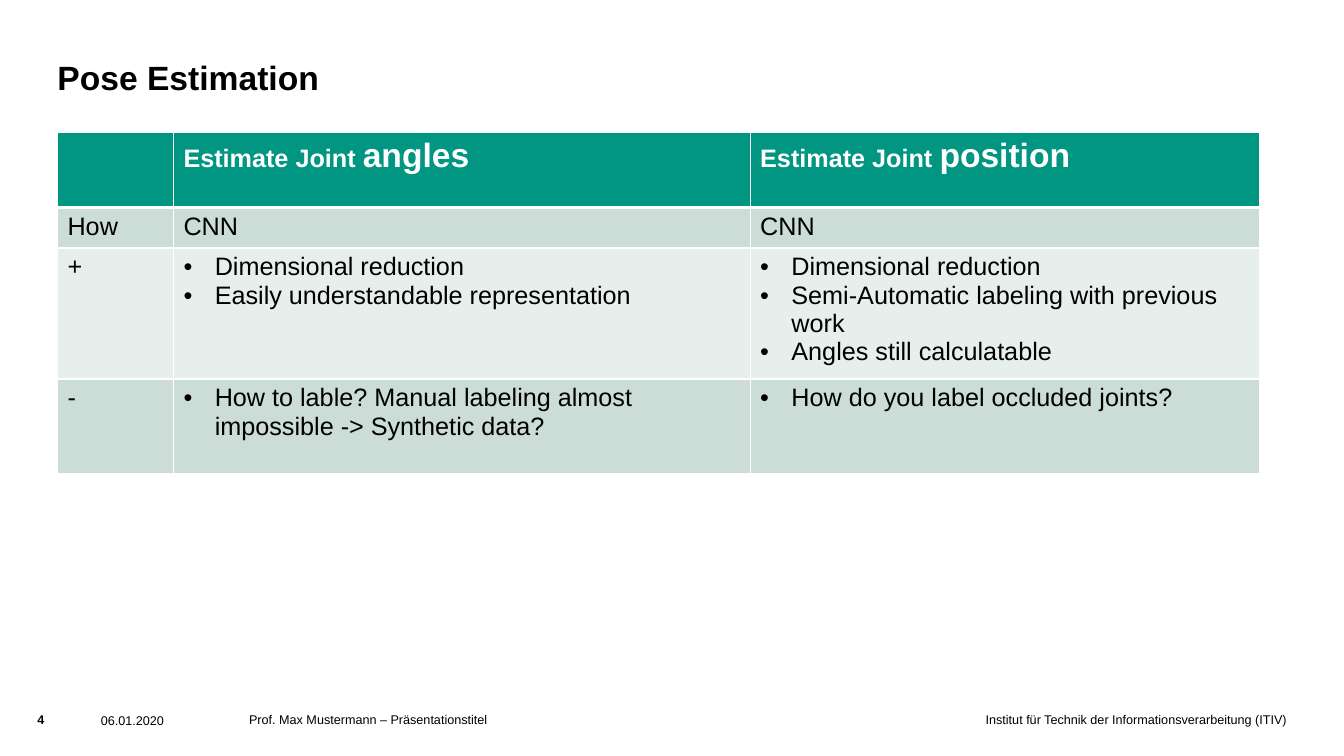
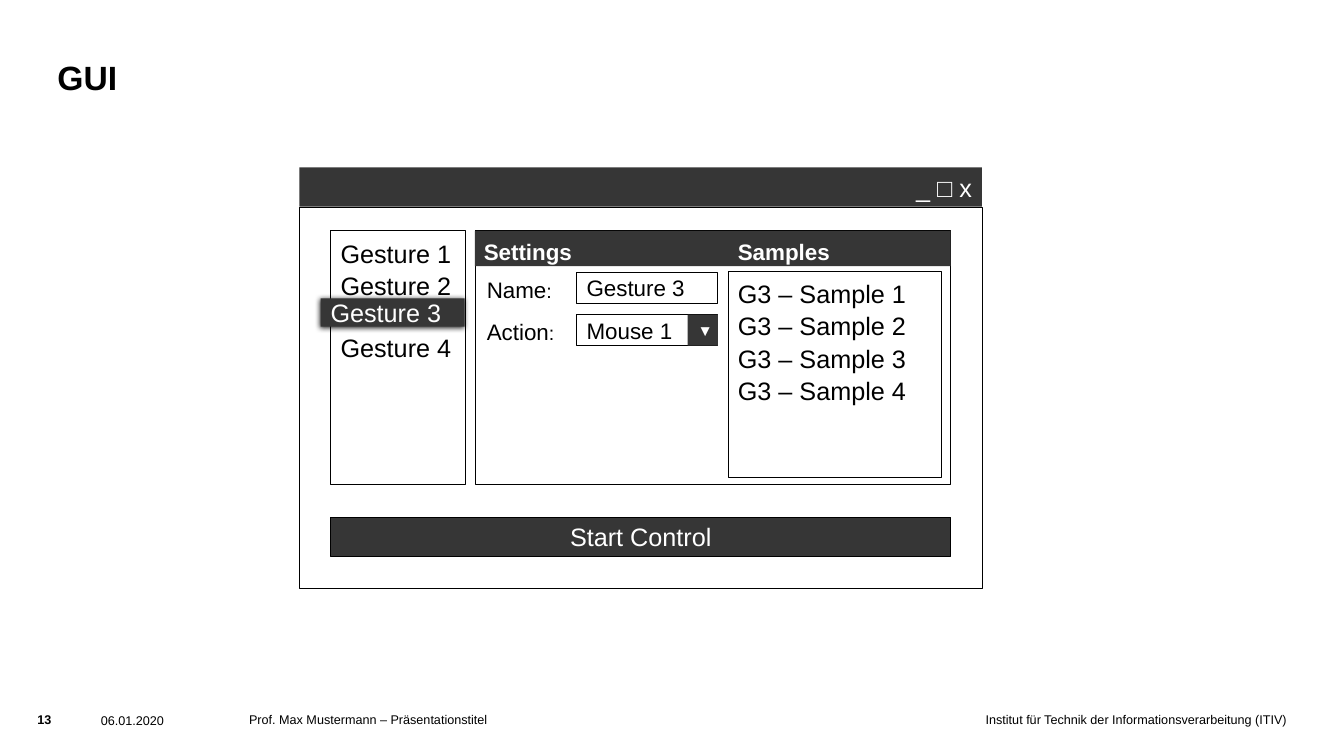
from dataclasses import dataclass

from lxml import etree
from pptx import Presentation
from pptx import util as u
from pptx.dml.color import RGBColor
from pptx.enum import shapes, text
from pptx.oxml import ns


@dataclass(frozen=True)
class Theme:
    font: str = "Arial"
    black: str = "000000"
    white: str = "FFFFFF"
    dark: str = "363636"
    green: str = "009682"
    band_dark: str = "CCDDD8"
    band_light: str = "E7EFED"
    title: int = 24
    body: int = 18
    label: int = 16
    colon: int = 14
    arrow: int = 11
    footer: int = 9


THEME = Theme()
LEFT, CENTER, RIGHT = text.PP_ALIGN.LEFT, text.PP_ALIGN.CENTER, text.PP_ALIGN.RIGHT
TOP, MIDDLE, BOTTOM = text.MSO_ANCHOR.TOP, text.MSO_ANCHOR.MIDDLE, text.MSO_ANCHOR.BOTTOM

# Footer parts: text, place, alignment
FOOTER = [
    ("06.01.2020", (1, 7.07, 1.27, 0.12), LEFT),
    ("Prof. Max Mustermann – Präsentationstitel", (2.47, 7.06, 6.09, 0.39), LEFT),
    ("Institut für Technik der Informationsverarbeitung (ITIV)", (8.57, 7.06, 4.19, 0.39), RIGHT),
]
PAGE_NUMBER_AT = (0.37, 7.06, 0.47, 0.24)
TITLE_AT = (0.57, 0.36, 10.08, 0.61)

# A paragraph is a string, or a list of (text, size) spans
HEADER = [[("Estimate Joint ", THEME.body), (word, THEME.title)] for word in ("angles", "position")]
COMPARISON = [
    ([], [HEADER[0]], [HEADER[1]]),
    (["How"], ["CNN"], ["CNN"]),
    (["+"],
     ["Dimensional reduction", "Easily understandable representation"],
     ["Dimensional reduction", "Semi-Automatic labeling with previous work",
      "Angles still calculatable"]),
    (["-"],
     ["How to lable? Manual labeling almost impossible -> Synthetic data?"],
     ["How do you label occluded joints?"]),
]
COLUMN_WIDTHS = (1.15, 5.72, 5.05)
ROW_HEIGHTS = (0.75, 0.4, 1.22, 0.94)
BULLET_ROWS = (2, 3)

GESTURES = ["Gesture 1", "Gesture 2", "Gesture 4"]
SELECTED = "Gesture 3"
SAMPLES = [f"G3 – Sample {number}" for number in range(1, 5)]
FIELDS = [("Name", "Gesture 3"), ("Action", "Mouse 1")]
LIST_SPACING = 1.07
LIST_LINE = 21.5


def rgb(value):
    return RGBColor.from_string(value)


def inches(at):
    return [u.Inches(length) for length in at]


def add_xml(parent, tag, index=None, **attributes):
    child = etree.Element(ns.qn(tag), {key: str(value) for key, value in attributes.items()})
    parent.insert(len(parent) if index is None else index, child)
    return child


def write(frame, paragraphs, size, color=THEME.black, bold=False, align=LEFT, spacing=None):
    for number, content in enumerate(paragraphs):
        para = frame.paragraphs[0] if number == 0 else frame.add_paragraph()
        para.alignment = align
        if spacing:
            para.line_spacing = spacing
        font = para.font
        font.name, font.size, font.bold = THEME.font, u.Pt(size), bold
        font.color.rgb = rgb(color)
        spans = [(content, None)] if isinstance(content, str) else content
        for words, span_size in spans:
            span = para.add_run()
            span.text = words
            if span_size:
                span.font.size = u.Pt(span_size)


def add_text(parent, at, paragraphs, size, inset=True, wrap=True, **style):
    box = parent.add_textbox(*inches(at))
    frame = box.text_frame
    frame.word_wrap = wrap
    if not inset:
        clear_insets(frame)
    write(frame, paragraphs, size, **style)
    return box


def clear_insets(frame):
    frame.margin_left = frame.margin_top = frame.margin_right = frame.margin_bottom = 0


def add_box(parent, at, fill=THEME.white, outlined=True, paragraphs=(), size=THEME.body,
            anchor=MIDDLE, **style):
    box = parent.add_shape(shapes.MSO_SHAPE.RECTANGLE, *inches(at))
    box.shadow.inherit = False
    if fill:
        box.fill.solid()
        box.fill.fore_color.rgb = rgb(fill)
    else:
        box.fill.background()
    if outlined:
        box.line.color.rgb = rgb(THEME.black)
        box.line.width = u.Pt(0.5)
    else:
        box.line.fill.background()
    box.text_frame.vertical_anchor = anchor
    write(box.text_frame, paragraphs, size, **style)
    return box


def add_page(deck, title, number):
    """Add a slide with its title and footer."""
    page = deck.slides.add_slide(deck.slide_layouts[5])
    heading = page.shapes.title
    heading.left, heading.top, heading.width, heading.height = inches(TITLE_AT)
    clear_insets(heading.text_frame)
    heading.text_frame.vertical_anchor = BOTTOM
    write(heading.text_frame, [title], THEME.title, bold=True)
    add_text(page.shapes, PAGE_NUMBER_AT, [number], THEME.footer, inset=False, bold=True)
    for words, at, align in FOOTER:
        add_text(page.shapes, at, [words], THEME.footer, inset=False, align=align)
    return page


def set_borders(cell, bottom_width):
    properties = cell._tc.get_or_add_tcPr()
    widths = {"a:lnL": 1, "a:lnR": 1, "a:lnT": 1, "a:lnB": bottom_width}
    for index, (tag, width) in enumerate(widths.items()):
        line = add_xml(properties, tag, index, w=u.Pt(width))
        add_xml(add_xml(line, "a:solidFill"), "a:srgbClr", val=THEME.white)


def add_bullet(para):
    properties = para._p.get_or_add_pPr()
    indent = u.Inches(0.31)
    properties.set("marL", str(indent))
    properties.set("indent", str(-indent))
    add_xml(properties, "a:buFont", 0, typeface=THEME.font)
    add_xml(properties, "a:buChar", 1, char="•")


def add_comparison(page):
    at = (0.57, 1.31, sum(COLUMN_WIDTHS), sum(ROW_HEIGHTS))
    table = page.shapes.add_table(len(ROW_HEIGHTS), len(COLUMN_WIDTHS), *inches(at)).table
    for column, width in zip(table.columns, COLUMN_WIDTHS):
        column.width = u.Inches(width)
    for row, height in zip(table.rows, ROW_HEIGHTS):
        row.height = u.Inches(height)
    for r, row in enumerate(COMPARISON):
        header = r == 0
        fill = THEME.green if header else (THEME.band_light, THEME.band_dark)[r % 2]
        for c, paragraphs in enumerate(row):
            cell = table.cell(r, c)
            cell.fill.solid()
            cell.fill.fore_color.rgb = rgb(fill)
            set_borders(cell, 3 if header else 1)
            write(cell.text_frame, paragraphs, THEME.body, bold=header,
                  color=THEME.white if header else THEME.black)
            if r in BULLET_ROWS and c > 0:
                for para in cell.text_frame.paragraphs:
                    add_bullet(para)


def add_shadow(box):
    effects = box._element.spPr.find(ns.qn("a:effectLst"))
    shadow = add_xml(effects, "a:outerShdw", blurRad=u.Pt(4), dist=u.Pt(1),
                     dir=135 * 60000, algn="tr", rotWithShape=0)
    add_xml(add_xml(shadow, "a:srgbClr", val=THEME.black), "a:alpha", val=84000)


def add_window(page):
    window = page.shapes.add_group_shape().shapes
    left, width, bar = 2.97, 6.77, 0.39
    inner_left, inner_width, panel_top, panel_height = 3.28, 6.15, 2.29, 2.52
    settings_left, settings_width = 4.71, 4.72
    samples_left = 7.22
    on_dark = {"fill": THEME.dark, "color": THEME.white}

    add_box(window, (left, 2.06, width, 3.78))
    add_box(window, (left, 1.66, width, bar), outlined=False, paragraphs=["_ □ x"],
            align=RIGHT, **on_dark)
    add_box(window, (settings_left, panel_top, settings_width, panel_height))
    add_box(window, (settings_left, panel_top, settings_width, 0.35), outlined=False, **on_dark)
    for heading, x in (("Settings", 4.7), ("Samples", samples_left)):
        add_text(window, (x, 2.31, 2.1, 0.37), [heading], THEME.label,
                 color=THEME.white, bold=True)

    gestures = add_box(window, (inner_left, panel_top, 1.34, panel_height), fill=None,
                       paragraphs=GESTURES, anchor=TOP, spacing=LIST_SPACING)
    gestures.text_frame.paragraphs[-1].space_before = u.Pt(LIST_LINE)
    selected = add_box(window, (3.18, 2.96, 1.43, 0.28), outlined=False,
                       paragraphs=[SELECTED], **on_dark)
    add_shadow(selected)
    add_box(window, (samples_left, 2.69, 2.12, 2.05), paragraphs=SAMPLES, anchor=TOP,
            spacing=LIST_SPACING)

    field_left, field_width, field_height, arrow_width = 5.72, 1.4, 0.31, 0.3
    for number, (label, value) in enumerate(FIELDS):
        top = 2.7 + 0.42 * number
        add_text(window, (4.73, top - 0.01, 0.92, 0.37),
                 [[(label, THEME.label), (":", THEME.colon)]], THEME.label, wrap=False)
        add_box(window, (field_left, top, field_width, field_height), paragraphs=[value],
                size=THEME.label)
    add_box(window, (field_left + field_width - arrow_width, top, arrow_width, field_height),
            outlined=False, paragraphs=["▼"], size=THEME.arrow, align=CENTER, **on_dark)
    add_box(window, (inner_left, 5.13, inner_width, bar), paragraphs=["Start Control"],
            align=CENTER, **on_dark)


def main():
    deck = Presentation()
    deck.slide_width, deck.slide_height = u.Inches(13.33), u.Inches(7.5)
    add_comparison(add_page(deck, "Pose Estimation", "4"))
    add_window(add_page(deck, "GUI", "13"))
    deck.save("out.pptx")


if __name__ == "__main__":
    main()
